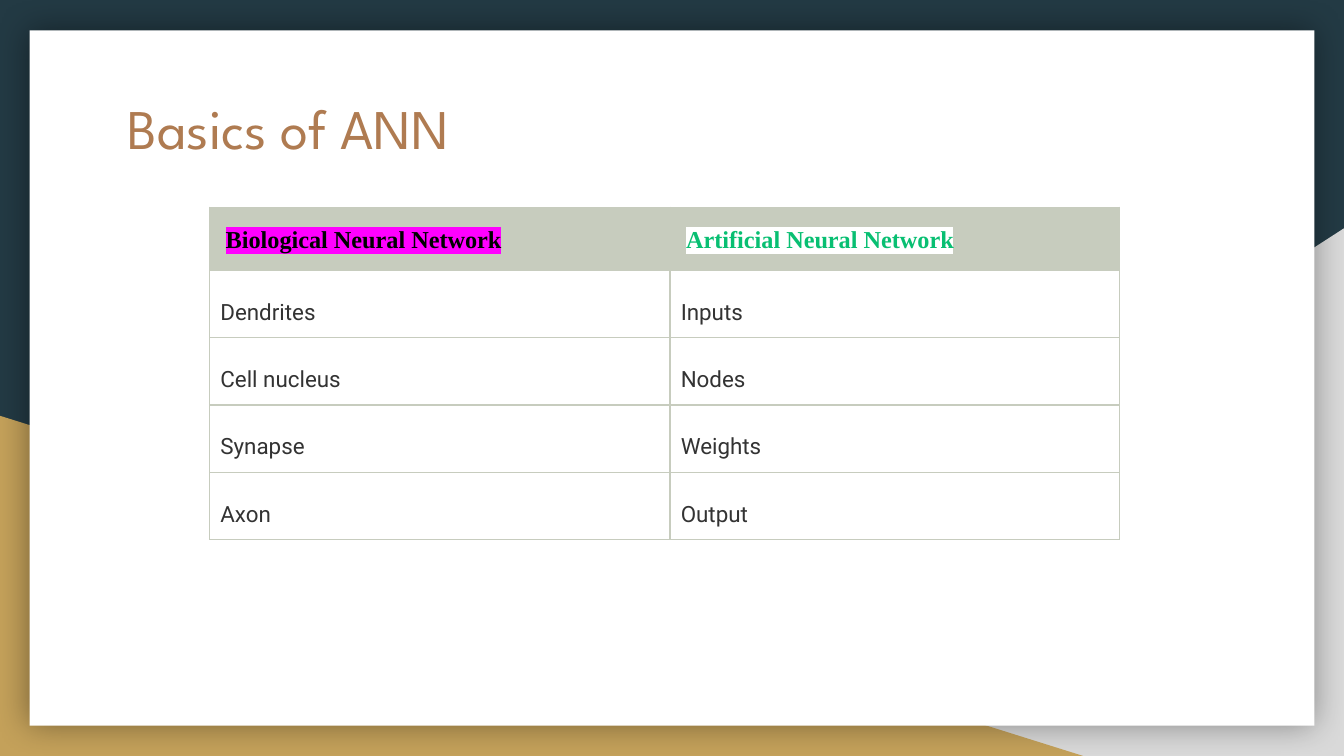
from dataclasses import dataclass
from typing import Any

from lxml.etree import SubElement
from pptx import Presentation
from pptx.dml.color import RGBColor
from pptx.enum.shapes import MSO_SHAPE
from pptx.enum.text import MSO_ANCHOR, PP_ALIGN
from pptx.oxml import parse_xml
from pptx.oxml.ns import nsdecls, qn
from pptx.util import Inches, Pt

WIDTH = 10
HEIGHT = WIDTH * 9 / 16


@dataclass
class TextStyle:
    font: str
    size: float
    color: str
    bold: bool = False
    highlight: str = ""


@dataclass
class CellStyle:
    fill: str
    inset: float
    spacing: float
    align: Any


def paint(target, color):
    target.solid()
    target.fore_color.rgb = RGBColor.from_string(color)


def share(left, top, width, height):
    return [Inches(WIDTH * left), Inches(HEIGHT * top),
            Inches(WIDTH * width), Inches(HEIGHT * height)]


@dataclass
class SlideBuilder:
    slide: Any
    border: str = "C7CCBE"

    def background(self, color):
        paint(self.slide.background.fill, color)

    def panel(self, kind, box, color, flipped=False, shadow=False):
        shape = self.slide.shapes.add_shape(kind, *share(*box))
        shape.shadow.inherit = False
        paint(shape.fill, color)
        shape.line.fill.background()
        properties = shape.element.spPr
        if flipped:
            properties.find(qn("a:xfrm")).set("flipH", "1")
        if shadow:
            properties.find(qn("a:effectLst")).append(parse_xml(
                f'<a:outerShdw {nsdecls("a")} blurRad="{Pt(18)}" dist="0" dir="0">'
                '<a:srgbClr val="000000"><a:alpha val="40000"/></a:srgbClr>'
                '</a:outerShdw>'))

    def run(self, paragraph, text, style):
        run = paragraph.add_run()
        run.text = text
        run.font.name = style.font
        run.font.size = Pt(style.size)
        run.font.bold = style.bold
        paint(run.font.fill, style.color)
        if style.highlight:
            fill = run.font._element.find(qn("a:solidFill"))
            fill.addnext(parse_xml(
                f'<a:highlight {nsdecls("a")}><a:srgbClr val="{style.highlight}"/>'
                '</a:highlight>'))

    def title(self, text, box, style):
        title = self.slide.shapes.title
        self.slide.shapes.element.append(title.element)
        title.left, title.top, title.width, title.height = share(*box)
        frame = title.text_frame
        frame.margin_left = frame.margin_right = Inches(0.1)
        frame.margin_top = frame.margin_bottom = Inches(0.1)
        frame.vertical_anchor = MSO_ANCHOR.MIDDLE
        frame.paragraphs[0].alignment = PP_ALIGN.LEFT
        self.run(frame.paragraphs[0], text, style)

    def table(self, box, column_shares, row_shares):
        left, top, width, height = share(*box)
        table = self.slide.shapes.add_table(
            len(row_shares), len(column_shares), left, top, width, height).table
        for column, part in zip(table.columns, column_shares):
            column.width = int(width * part)
        for row, part in zip(table.rows, row_shares):
            row.height = int(height * part)
        return table

    def cell(self, cell, text, cell_style, text_style):
        inset = Inches(cell_style.inset)
        cell.margin_left = cell.margin_right = inset
        cell.margin_top = cell.margin_bottom = inset
        properties = cell._tc.get_or_add_tcPr()
        for side in ("lnL", "lnR", "lnT", "lnB"):
            line = SubElement(properties, qn(f"a:{side}"), w=str(Pt(0.75)))
            fill = SubElement(line, qn("a:solidFill"))
            SubElement(fill, qn("a:srgbClr"), val=self.border)
        paint(cell.fill, cell_style.fill)
        paragraph = cell.text_frame.paragraphs[0]
        paragraph.alignment = cell_style.align
        paragraph.line_spacing = cell_style.spacing
        self.run(paragraph, text, text_style)


def main():
    presentation = Presentation()
    presentation.slide_width = Inches(WIDTH)
    presentation.slide_height = Inches(HEIGHT)
    builder = SlideBuilder(presentation.slides.add_slide(presentation.slide_layouts[5]))

    builder.background("233A44")
    builder.panel(MSO_SHAPE.RIGHT_TRIANGLE, (0.392, 0.302, 0.608, 0.698), "D9D9D9", flipped=True)
    builder.panel(MSO_SHAPE.RIGHT_TRIANGLE, (0, 0.55, 0.806, 0.45), "C4A15A")
    builder.panel(MSO_SHAPE.RECTANGLE, (0.022, 0.04, 0.956, 0.92), "FFFFFF", shadow=True)
    builder.title("Basics of ANN", (0.085, 0.103, 0.311, 0.13),
                  TextStyle("League Spartan", 30, "AF7B51"))

    headings = [
        ("Biological Neural Network", TextStyle("Times New Roman", 13, "000000", True, "FF00FF")),
        ("Artificial Neural Network", TextStyle("Times New Roman", 13, "08BF72", True, "FFFFFF")),
    ]
    pairs = [("Dendrites", "Inputs"), ("Cell nucleus", "Nodes"),
             ("Synapse", "Weights"), ("Axon", "Output")]
    heading_cell = CellStyle("C7CCBE", 0.12, 1.15, PP_ALIGN.LEFT)
    body_cell = CellStyle("FFFFFF", 0.08, 1.7, PP_ALIGN.JUSTIFY)
    body_text = TextStyle("Roboto", 12, "333333")

    heading_share = 0.19
    body_share = (1 - heading_share) / len(pairs)
    table = builder.table((0.156, 0.274, 0.677, 0.44), (0.506, 0.494),
                          [heading_share] + [body_share] * len(pairs))
    for column, (text, style) in enumerate(headings):
        builder.cell(table.cell(0, column), text, heading_cell, style)
    for row, pair in enumerate(pairs, start=1):
        for column, text in enumerate(pair):
            builder.cell(table.cell(row, column), text, body_cell, body_text)

    presentation.save("out.pptx")


if __name__ == "__main__":
    main()
